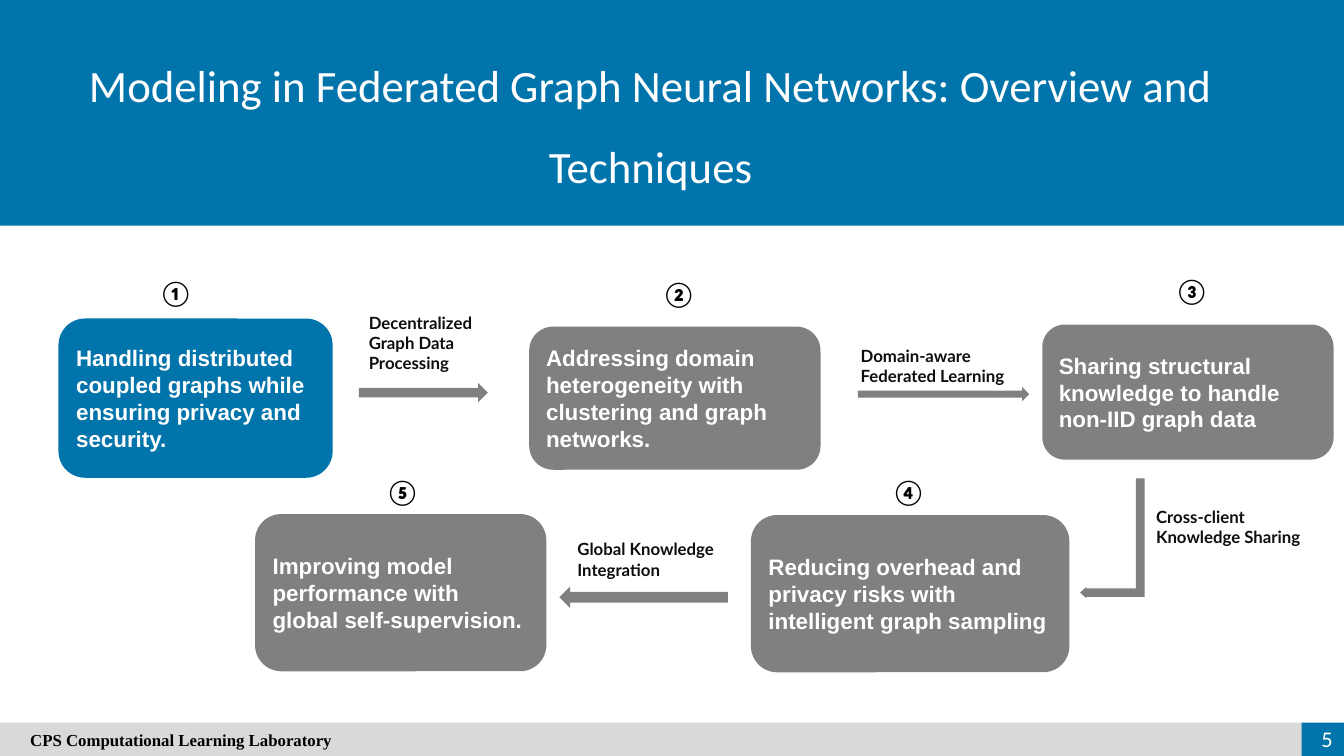
import pptx
import pptx.util
import pptx.dml.color
import pptx.enum.shapes
import pptx.enum.text
from dataclasses import dataclass

TITLE = "Modeling in Federated Graph Neural Networks: Overview and Techniques"
FOOTER = "CPS Computational Learning Laboratory"
PAGE = "5"

STEPS = [
    ("①", (4.44, 8.1), "Handling distributed coupled graphs while ensuring privacy and security.",
     (1.74, 9.48, 8.16, 4.74)),
    ("②", (19.41, 8.13), "Addressing domain heterogeneity with clustering and graph networks.",
     (15.75, 9.72, 8.67, 4.26)),
    ("③", (34.68, 8.04), "Sharing structural knowledge to handle non-IID graph data",
     (31.02, 9.66, 8.67, 4.02)),
    ("④", (26.25, 14.04), "Reducing overhead and privacy risks with intelligent graph sampling",
     (22.35, 15.33, 9.48, 4.68)),
    ("⑤", (11.19, 14.04), "Improving model performance with global self-supervision.",
     (7.59, 15.3, 8.67, 4.68)),
]
LINKS = [
    ("Decentralized Graph Data Processing", (10.68, 9.15, 4.62, 2.13),
     "RIGHT_ARROW", (10.68, 11.4, 3.84, 0.57), 0),
    ("Domain-aware Federated Learning", (25.32, 10.14, 5.49, 1.5),
     "RIGHT_ARROW", (25.53, 11.52, 5.1, 0.42), 0),
    ("Cross-client Knowledge Sharing", (34.11, 14.94, 5.61, 1.5),
     "BENT_UP_ARROW", (31.32, 15.06, 3.57, 1.92), 90),
    ("Global Knowledge Integration", (16.89, 15.9, 5.34, 1.5),
     "RIGHT_ARROW", (16.65, 17.46, 5.01, 0.63), 180),
]
BEND = (0.133, 0.087, 0.098)
COLS, ROWS = 40, 22.5
BANNER_ROWS = 6.72
FOOT_ROW, FOOT_SPLIT = 21.51, 38.73


@dataclass(frozen=True)
class Theme:
    blue: str = "0174AB"
    gray: str = "808080"
    bar: str = "D9D9D9"
    white: str = "FFFFFF"
    black: str = "000000"
    ink: str = "0E0E0E"
    title: int = 32
    number: int = 18
    step: int = 16
    label: int = 12


T = Theme()
SHAPE = pptx.enum.shapes.MSO_SHAPE
ALIGN = pptx.enum.text.PP_ALIGN
ANCHOR = pptx.enum.text.MSO_ANCHOR

prs = pptx.Presentation()
prs.slide_width = pptx.util.Inches(13.33)
prs.slide_height = pptx.util.Inches(7.5)
s = prs.slides.add_slide(prs.slide_layouts[5])


def place(box):
    cw, rh = prs.slide_width / COLS, prs.slide_height / ROWS
    x, y, w, h = box
    return round(x * cw), round(y * rh), round(w * cw), round(h * rh)


def add_block(kind, box, color):
    sp = s.shapes.add_shape(kind, *place(box))
    sp.shadow.inherit = False
    sp.fill.solid()
    sp.fill.fore_color.rgb = pptx.dml.color.RGBColor.from_string(color)
    sp.line.fill.background()
    return sp


def write(sp, text, font, size, color, bold=True, align=ALIGN.LEFT,
          anchor=ANCHOR.TOP, wrap=True):
    tf = sp.text_frame
    tf.word_wrap = wrap
    tf.auto_size = pptx.enum.text.MSO_AUTO_SIZE.NONE
    tf.vertical_anchor = anchor
    p = tf.paragraphs[0]
    p.alignment = align
    r = p.add_run()
    r.text = text
    r.font.name = font
    r.font.size = pptx.util.Pt(size)
    r.font.bold = bold
    r.font.color.rgb = pptx.dml.color.RGBColor.from_string(color)
    return p


def add_text(box, *args, **kwargs):
    return write(s.shapes.add_textbox(*place(box)), *args, **kwargs)


banner = add_block(SHAPE.RECTANGLE, (0, 0, COLS, BANNER_ROWS), T.blue)
title = s.shapes.title
banner._element.addnext(title._element)
title.left, title.top, title.width, title.height = place((1.02, 0.78, 36.69, 4.89))
write(title, TITLE, "Calibri", T.title, T.white, bold=False,
      align=ALIGN.CENTER).line_spacing = 1.5

for i, (number, spot, text, box) in enumerate(STEPS):
    card = add_block(SHAPE.ROUNDED_RECTANGLE, box, T.gray if i else T.blue)
    write(card, text, "Arial", T.step, T.white, anchor=ANCHOR.MIDDLE)
    add_text((*spot, 1.36, 1.2), number, "Calibri", T.number, T.black, wrap=False)

for text, label_box, kind, box, angle in LINKS:
    arrow = add_block(SHAPE[kind], box, T.gray)
    arrow.rotation = angle
    if kind == "BENT_UP_ARROW":
        arrow._element.spPr.xfrm.set("flipV", "1")
        for k, share in enumerate(BEND):
            arrow.adjustments[k] = share
    add_text(label_box, text, "Lato", T.label, T.ink)

add_block(SHAPE.RECTANGLE, (FOOT_SPLIT, FOOT_ROW, COLS - FOOT_SPLIT, ROWS - FOOT_ROW), T.blue)
bar = add_block(SHAPE.RECTANGLE, (0, FOOT_ROW, FOOT_SPLIT, ROWS - FOOT_ROW), T.bar)
write(bar, FOOTER, "Times New Roman", T.label, T.black, anchor=ANCHOR.MIDDLE)
bar.text_frame.margin_left = pptx.util.Inches(0.3)
add_text((38.07, 21.39, 1.89, 1.2), PAGE, "Calibri", T.step, T.white, bold=False,
         align=ALIGN.RIGHT, anchor=ANCHOR.MIDDLE)

prs.save("out.pptx")
